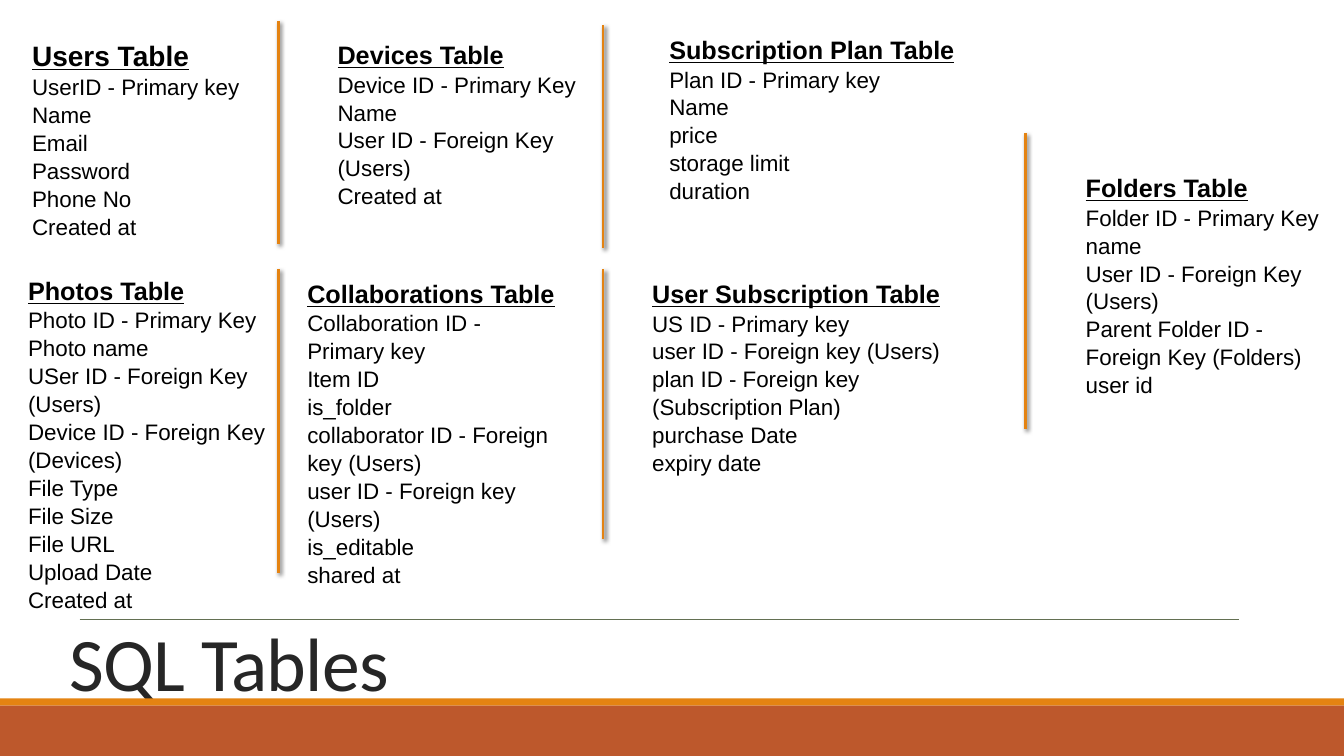
import pptx
import pptx.util
import pptx.dml.color
import pptx.enum.shapes
import pptx.enum.text
import pptx.oxml
import pptx.oxml.ns

Inches, Pt = pptx.util.Inches, pptx.util.Pt
ORANGE, RUST, GREY = "E48312", "BD582C", "637052"

# left, top, width, height, heading size, heading, fields
TABLES = [
    (0.22, 0.32, 2.7, 2.36, 20, "Users Table",
     ["UserID - Primary key", "Name", "Email", "Password", "Phone No",
      "Created at"]),
    (3.25, 0.33, 2.7, 2.09, 18, "Devices Table",
     ["Device ID - Primary Key", "Name", "User ID - Foreign Key (Users)",
      "Created at"]),
    (0.18, 2.67, 2.59, 4.01, 18, "Photos Table",
     ["Photo ID - Primary Key", "Photo name", "USer ID - Foreign Key (Users)",
      "Device ID - Foreign Key (Devices)", "File Type", "File Size",
      "File URL", "Upload Date", "Created at"]),
    (10.67, 1.65, 2.7, 2.96, 18, "Folders Table",
     ["Folder ID - Primary Key", "name", "User ID - Foreign Key (Users)",
      "Parent Folder ID - Foreign Key (Folders)\u00a0", "user id"]),
    (2.95, 2.7, 2.7, 3.84, 18, "Collaborations Table",
     ["Collaboration ID - Primary key", "Item ID", "is_folder\u00a0",
      "collaborator ID - Foreign key (Users)", "user ID - Foreign key (Users)",
      "is_editable", "shared at"]),
    (6.54, 0.28, 3.14, 1.82, 18, "Subscription Plan Table",
     ["Plan ID - Primary key", "Name", "price", "storage limit", "duration"]),
    (6.37, 2.7, 3.14, 2.05, 18, "User Subscription Table",
     ["US ID - Primary key", "user ID - Foreign key (Users)",
      "plan ID - Foreign key (Subscription Plan)", "purchase Date",
      "expiry date"]),
]
# x, top, bottom
RULES = [(2.76, 0.21, 2.42), (5.98, 0.25, 2.46), (10.17, 1.32, 4.26),
         (5.98, 2.67, 5.35), (2.76, 2.67, 5.68)]
# top, height, colour
BANDS = [(6.93, 0.07, ORANGE), (7, 0.5, RUST)]

EFFECT = '<a:effectLst %s>%%s</a:effectLst>' % pptx.oxml.ns.nsdecls("a")
SHADOW = ('<a:outerShdw blurRad="38100" dist="25400" dir="2700000">'
          '<a:srgbClr val="000000"><a:alpha val="60000"/></a:srgbClr>'
          '</a:outerShdw>')


def rgb(code):
    return pptx.dml.color.RGBColor.from_string(code)


def write(par, text, size=16, font="Arial", color="000000", bold=False,
          under=False, space=1.04):
    par.line_spacing = space
    run = par.add_run()
    run.text = text
    face = run.font
    face.size, face.name, face.bold, face.underline = Pt(size), font, bold, under
    face.color.rgb = rgb(color)
    return run


def band(top, high, color):
    box = slide.shapes.add_shape(pptx.enum.shapes.MSO_SHAPE.RECTANGLE, 0,
                                 Inches(top), deck.slide_width, Inches(high))
    box.shadow.inherit = False
    box.fill.solid()
    box.fill.fore_color.rgb = rgb(color)
    box.line.fill.background()


def rule(start, end, color, width, effect=""):
    line = slide.shapes.add_connector(
        pptx.enum.shapes.MSO_CONNECTOR.STRAIGHT,
        *[Inches(n) for n in start + end])
    line.line.color.rgb = rgb(color)
    line.line.width = Pt(width)
    line._element.spPr.append(pptx.oxml.parse_xml(EFFECT % effect))


def table(left, top, wide, high, size, head, fields):
    box = slide.shapes.add_textbox(*[Inches(n) for n in (left, top, wide, high)])
    frame = box.text_frame
    frame.word_wrap = True
    write(frame.paragraphs[0], head, size=size, bold=True, under=True)
    for field in fields:
        write(frame.add_paragraph(), field)


deck = pptx.Presentation()
deck.slide_width, deck.slide_height = Inches(13.33), Inches(7.5)
slide = deck.slides.add_slide(deck.slide_layouts[5])

band(0, 6.93, "FFFFFF")
title = slide.shapes.title
slide.shapes._spTree.append(title._element)  # bring above the white panel
title.left, title.top = Inches(0.59), Inches(5.9)
title.width, title.height = Inches(9.91), Inches(1.16)
frame = title.text_frame
frame.vertical_anchor = pptx.enum.text.MSO_ANCHOR.BOTTOM
frame.auto_size = pptx.enum.text.MSO_AUTO_SIZE.NONE
frame.paragraphs[0].alignment = pptx.enum.text.PP_ALIGN.LEFT
name = write(frame.paragraphs[0], "SQL Tables", size=54, font="Calibri",
             color="262626", space=0.85)
name.font._element.set("spc", "-50")

rule((0.79, 6.14), (12.29, 6.14), GREY, 0.5)
for part in BANDS:
    band(*part)
for part in TABLES:
    table(*part)
for x, top, bottom in RULES:
    rule((x, top), (x, bottom), ORANGE, 2, SHADOW)

deck.save("out.pptx")
